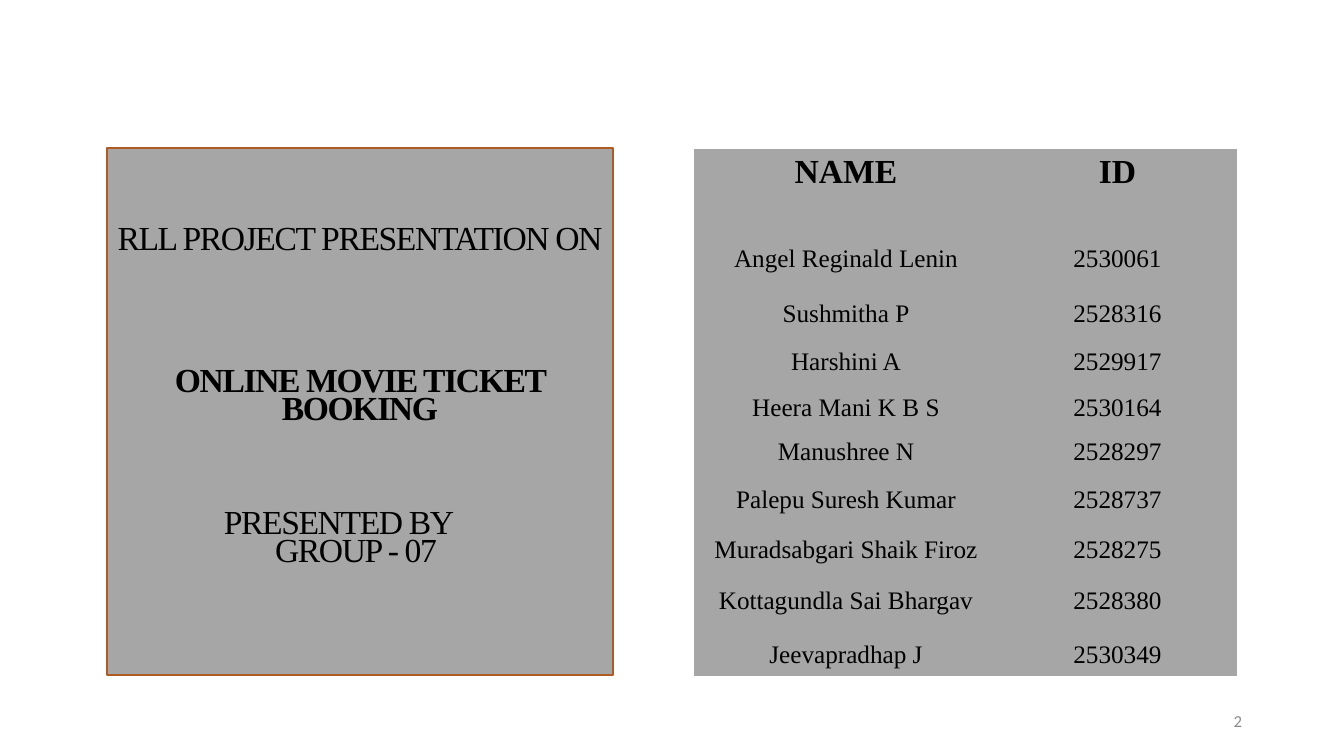
from pptx import Presentation
from pptx.dml.color import RGBColor
from pptx.enum.shapes import MSO_SHAPE
from pptx.enum.text import MSO_ANCHOR, PP_ALIGN
from pptx.oxml.ns import qn
from pptx.util import Emu, Pt

RECTANGLE = MSO_SHAPE.RECTANGLE
TOP, MIDDLE = MSO_ANCHOR.TOP, MSO_ANCHOR.MIDDLE
CENTER, RIGHT = PP_ALIGN.CENTER, PP_ALIGN.RIGHT
EMU_PER_PX = 914400 / 100.8
NO_GRID_STYLE = "{2D5ABB26-0587-4C30-8999-92F81FD0307C}"
COLORS = {"panel": "A6A6A6", "outline": "AF5C24", "text": "000000", "number": "8C8C8C"}
SERIF, SANS = "Times New Roman", "Calibri"


def px(length):
    return Emu(round(length * EMU_PER_PX))


def color(name):
    return RGBColor.from_string(COLORS[name])


class SlideBuilder:
    def __init__(self, presentation):
        self.slide = presentation.slides.add_slide(presentation.slide_layouts[6])

    def style(self, paragraph, size, bold=False, align=CENTER, font=SERIF, ink="text"):
        paragraph.alignment = align
        paragraph.font.name = font
        paragraph.font.size = Pt(size)
        paragraph.font.bold = bold
        paragraph.font.color.rgb = color(ink)

    def label(self, left, top, width, height, text, **style):
        frame = self.slide.shapes.add_textbox(px(left), px(top), px(width), px(height)).text_frame
        frame.word_wrap = True
        frame.vertical_anchor = MIDDLE
        frame.text = text
        self.style(frame.paragraphs[0], **style)

    def panel(self, left, top, width, height, top_inset, lines):
        """Each line is (text, bold, space before in pt, right indent in px)."""
        box = self.slide.shapes.add_shape(RECTANGLE, px(left), px(top), px(width), px(height))
        box.shadow.inherit = False
        box.fill.solid()
        box.fill.fore_color.rgb = color("panel")
        box.line.color.rgb = color("outline")
        box.line.width = Pt(1)
        frame = box.text_frame
        frame.word_wrap = True
        frame.vertical_anchor = TOP
        frame.margin_top = px(top_inset)
        frame.margin_left = frame.margin_right = px(8)
        for index, (text, bold, space_before, indent) in enumerate(lines):
            paragraph = frame.add_paragraph() if index else frame.paragraphs[0]
            run = paragraph.add_run()
            run.text = text
            run.font.color.rgb = color("text")
            run._r.get_or_add_rPr().set("spc", "-100")
            paragraph._p.get_or_add_pPr().set("marR", str(px(indent)))
            paragraph.line_spacing = 0.7
            paragraph.space_before = Pt(space_before)
            self.style(paragraph, 24, bold)

    def table(self, left, top, widths, heights, rows):
        frame = self.slide.shapes.add_table(len(rows), len(widths), px(left), px(top),
                                            px(sum(widths)), px(sum(heights)))
        table = frame.table
        table.horz_banding = False
        table._tbl.tblPr.find(qn("a:tableStyleId")).text = NO_GRID_STYLE
        for column, width in zip(table.columns, widths):
            column.width = px(width)
        for row_index, (row, height, texts) in enumerate(zip(table.rows, heights, rows)):
            row.height = px(height)
            is_header = row_index == 0
            for cell, text in zip(row.cells, texts):
                cell.text = text
                cell.fill.solid()
                cell.fill.fore_color.rgb = color("panel")
                self.style(cell.text_frame.paragraphs[0], 24 if is_header else 18, is_header)


def main():
    presentation = Presentation()
    presentation.slide_width, presentation.slide_height = px(1344), px(756)
    builder = SlideBuilder(presentation)

    # Slide number
    builder.label(950, 701, 302, 40, "2", size=12, align=RIGHT, font=SANS, ink="number")

    # Project title
    builder.panel(107, 148, 506, 527, 80, [
        ("RLL PROJECT PRESENTATION ON", False, 0, 0),
        ("ONLINE MOVIE TICKET BOOKING", True, 81, 0),
        ("PRESENTED BY", False, 61, 42),
        ("GROUP - 07", False, 0, 8),
    ])

    # Team members
    members = [
        ("NAME", "ID"),
        ("Angel Reginald Lenin", "2530061"),
        ("Sushmitha P", "2528316"),
        ("Harshini A", "2529917"),
        ("Heera Mani K B S", "2530164"),
        ("Manushree N", "2528297"),
        ("Palepu Suresh Kumar", "2528737"),
        ("Muradsabgari Shaik Firoz", "2528275"),
        ("Kottagundla Sai Bhargav", "2528380"),
        ("Jeevapradhap J", "2530349"),
    ]
    row_heights = [91, 55, 48, 46, 44, 48, 50, 51, 54, 40]
    builder.table(694, 149, [304, 239], row_heights, members)

    presentation.save("out.pptx")


if __name__ == "__main__":
    main()
